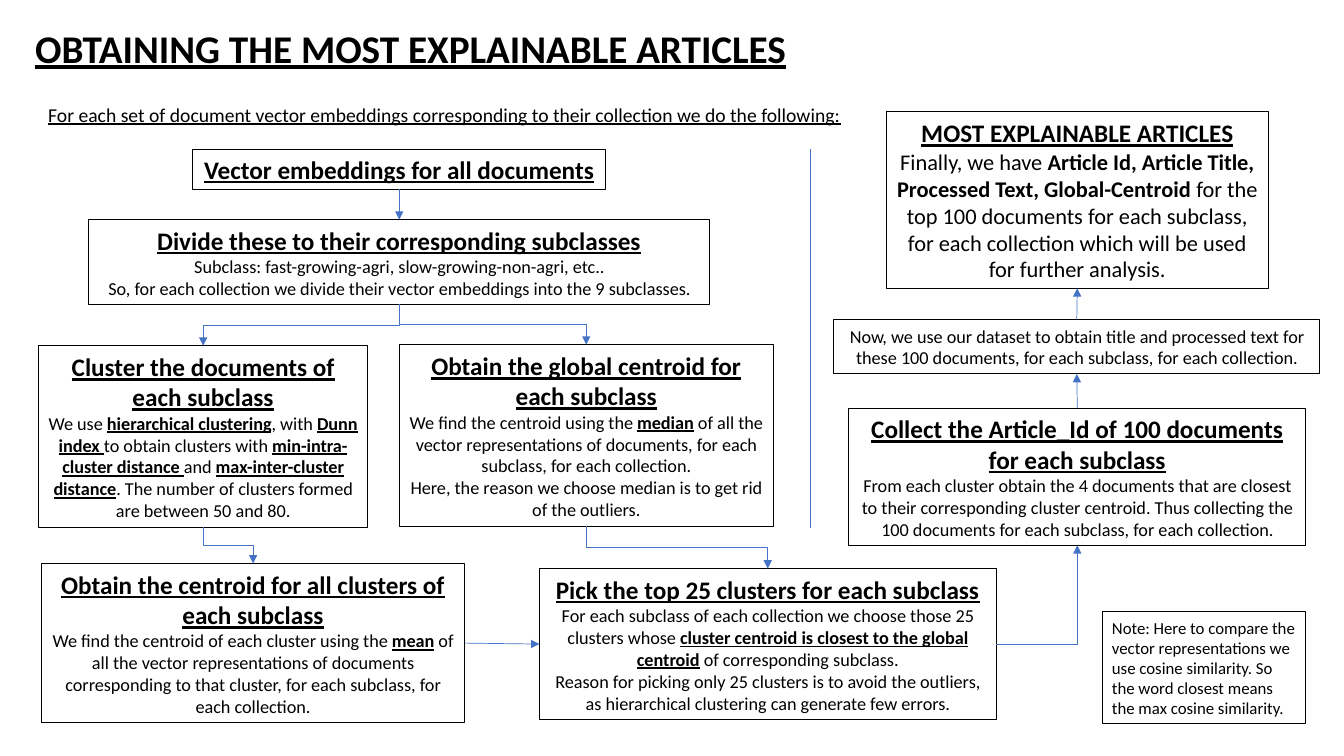
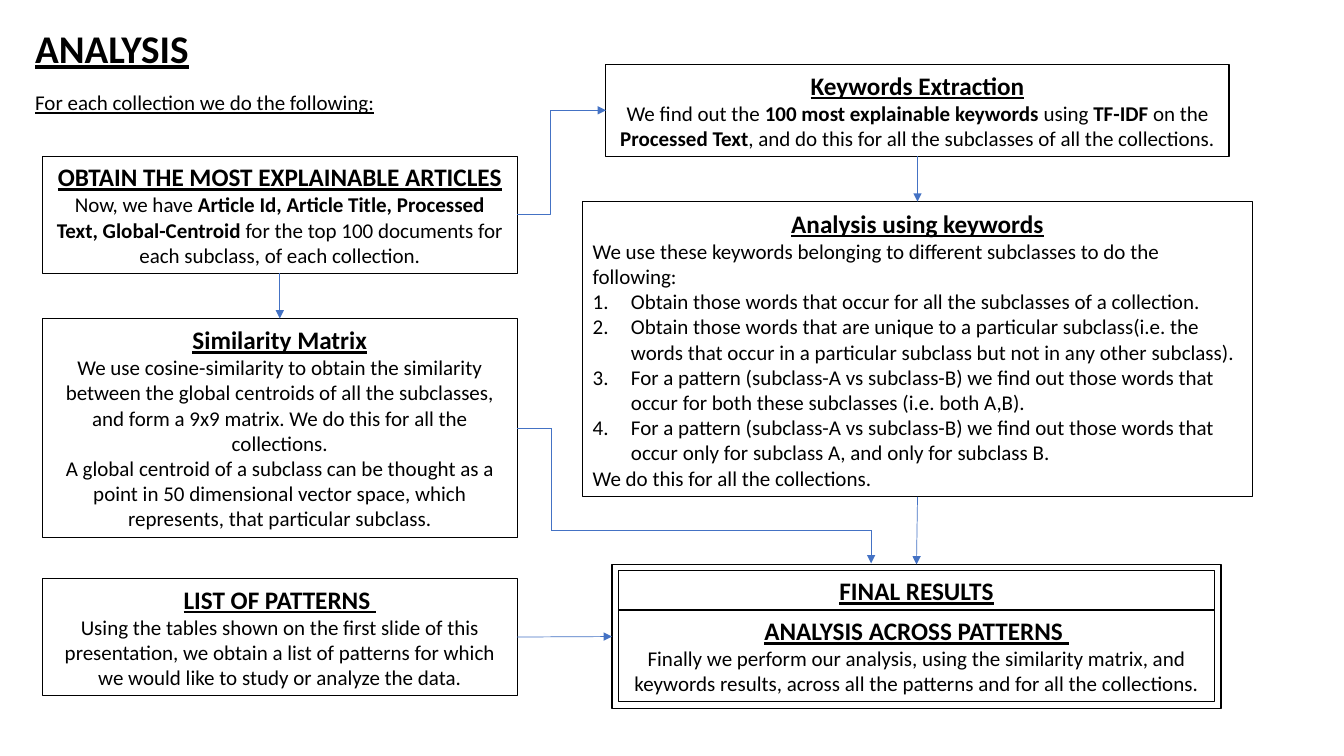
from itertools import pairwise
from lxml import etree
from pptx import Presentation, util as u
from pptx.dml.color import RGBColor
from pptx.enum import shapes, text
from pptx.oxml.ns import qn

PX = 9144
FONT, BLACK, BLUE = "Calibri", "000000", "4472C4"
LEFT, CENTER = text.PP_ALIGN.LEFT, text.PP_ALIGN.CENTER
HEADING = dict(bold=True, underline=True)
TOP, WEST, BOTTOM, EAST = range(4)
NUMBER = "# "

SLIDES = [
    dict(
        title=("OBTAINING THE MOST EXPLAINABLE ARTICLES", 774),
        lead=("For each set of document vector embeddings corresponding to their collection we do the following:",
              14, (38, 97, 812, 34)),
        emphasis=HEADING,
        boxes={
            "vectors": ((191, 148, 410, 40), "Vector embeddings for all documents", 13, []),
            "divide": ((88, 218, 616, 84), "Divide these to their corresponding subclasses", 13, [
                "Subclass: fast-growing-agri, slow-growing-non-agri, etc..",
                "So, for each collection we divide their vector embeddings into the 9 subclasses."]),
            "global": ((396, 342, 371, 180), "Obtain the global centroid for each subclass", 13, [
                "We find the centroid using the *median* of all the vector representations of documents, "
                "for each subclass, for each collection.",
                "Here, the reason we choose median is to get rid of the outliers."]),
            "cluster": ((38, 343, 327, 180), "Cluster the documents of each subclass", 13, [
                "We use *hierarchical clustering*, with *Dunn index *to obtain clusters with "
                "*min-intra-cluster distance *and *max-inter-cluster distance*. "
                "The number of clusters formed are between 50 and 80."]),
            "centroids": ((41, 559, 420, 158), "Obtain the centroid for all clusters of each subclass", 13, [
                "We find the centroid of each cluster using the *mean* of all the vector representations "
                "of documents corresponding to that cluster, for each subclass, for each collection."]),
            "pick": ((535, 564, 453, 150), "Pick the top 25 clusters for each subclass", 13, [
                "For each subclass of each collection we choose those 25 clusters whose "
                "*cluster centroid is closest to the global centroid* of corresponding subclass.",
                "Reason for picking only 25 clusters is to avoid the outliers, "
                "as hierarchical clustering can generate few errors."]),
            "collect": ((842, 405, 453, 136), "Collect the Article_Id of 100 documents for each subclass", 13, [
                "From each cluster obtain the 4 documents that are closest to their corresponding cluster "
                "centroid. Thus collecting the 100 documents for each subclass, for each collection."]),
            "dataset": ((827, 317, 482, 54), "", 13, [
                "Now, we use our dataset to obtain title and processed text for these 100 documents, "
                "for each subclass, for each collection."]),
            "articles": ((879, 111, 379, 175), "MOST EXPLAINABLE ARTICLES", 16, [
                "Finally, we have *Article Id, Article Title, Processed Text, Global-Centroid *for the "
                "top 100 documents for each subclass, for each collection which will be used "
                "for further analysis."]),
            "note": ((1093, 607, 202, 111), "", 12, [
                "Note: Here to compare the vector representations we use cosine similarity. "
                "So the word closest means the max cosine similarity."]),
        },
        plain_emphasis=["articles"],
        left_aligned=["note"],
        links=[
            ("vectors", BOTTOM, "divide", TOP, "straight"),
            ("divide", BOTTOM, "cluster", TOP, "fall"),
            ("divide", BOTTOM, "global", TOP, "fall"),
            ("cluster", BOTTOM, "centroids", TOP, "fall"),
            ("global", BOTTOM, "pick", TOP, "fall"),
            ("centroids", EAST, "pick", WEST, "straight"),
            ("pick", EAST, "collect", BOTTOM, "corner"),
            ("collect", TOP, "dataset", BOTTOM, "straight"),
            ("dataset", TOP, "articles", BOTTOM, "straight"),
        ],
        routes=[([(804, 148), (804, 524)], False)],
    ),
    dict(
        title=("ANALYSIS", 174),
        lead=("For each collection we do the following:", 15, (25, 84, 372, 35)),
        emphasis=dict(bold=True),
        boxes={
            "articles": ((42, 155, 471, 116), "OBTAIN THE MOST EXPLAINABLE ARTICLES", 15, [
                "Now, we have *Article Id, Article Title, Processed Text, Global-Centroid *for the "
                "top 100 documents for each subclass, of each collection."]),
            "keywords": ((601, 64, 618, 91), "Keywords Extraction", 15, [
                "We find out the *100 most explainable keywords *using *TF-IDF* on the *Processed Text*, "
                "and do this for all the subclasses of all the collections."]),
            "analysis": ((578, 200, 664, 293), "Analysis using keywords", 15, [
                "We use these keywords belonging to different subclasses to do the following:",
                "# Obtain those words that occur for all the subclasses of a collection.",
                "# Obtain those words that are unique to a particular subclass(i.e. the words that occur "
                "in a particular subclass but not in any other subclass).",
                "# For a pattern (subclass-A vs subclass-B) we find out those words that occur for both "
                "these subclasses (i.e. both A,B).",
                "# For a pattern (subclass-A vs subclass-B) we find out those words that occur only for "
                "subclass A, and only for subclass B.",
                "We do this for all the collections."]),
            "similarity": ((42, 316, 471, 217), "Similarity Matrix", 15, [
                "We use cosine-similarity to obtain the similarity between the global centroids of all "
                "the subclasses, and form a 9x9 matrix. We do this for all the collections.",
                "A global centroid of a subclass can be thought as a point in 50 dimensional vector space, "
                "which represents, that particular subclass."]),
            "patterns": ((42, 574, 471, 116), "LIST OF PATTERNS ", 15, [
                "Using the tables shown on the first slide of this presentation, we obtain a list of "
                "patterns for which we would like to study or analyze the data."]),
            "across": ((613, 605, 592, 91), "ANALYSIS ACROSS PATTERNS ", 15, [
                "Finally we perform our analysis, using the similarity matrix, and keywords results, "
                "across all the patterns and for all the collections."]),
            "results": ((613, 566, 592, 40), "FINAL RESULTS", 15, []),
            "frame": ((607, 560, 604, 143), "", 15, []),
        },
        plain_emphasis=[],
        left_aligned=["analysis"],
        links=[
            ("articles", BOTTOM, "similarity", TOP, "straight"),
            ("keywords", BOTTOM, "analysis", TOP, "straight"),
            ("articles", EAST, "keywords", WEST, "elbow"),
            ("analysis", BOTTOM, "frame", TOP, "straight"),
            ("patterns", EAST, "frame", WEST, "straight"),
        ],
        routes=[([(513, 425), (547, 425), (547, 526), (864, 526), (864, 559)], True)],
    ),
]


def rgb(value):
    return RGBColor.from_string(value)


def emu(values):
    return [v * PX for v in values]


def apply(target, values):
    for name, value in values.items():
        setattr(target, name, value)


def add_runs(p, content, size, emphasis):
    for i, part in enumerate(content.split("*")):
        if part:
            r = p.add_run()
            r.text = part
            apply(r.font, dict(name=FONT, size=u.Pt(size), **(emphasis if i % 2 else {})))
            r.font.color.rgb = rgb(BLACK)


def number(p):
    pPr = p._p.get_or_add_pPr()
    apply_xml = {"marL": str(38 * PX), "indent": str(-38 * PX)}
    for name, value in apply_xml.items():
        pPr.set(name, value)
    etree.SubElement(pPr, qn("a:buFont"), typeface="+mj-lt")
    etree.SubElement(pPr, qn("a:buAutoNum"), type="arabicPeriod")


def add_label(slide, content, size, at, wrap, bold=False):
    tf = slide.shapes.add_textbox(*emu(at)).text_frame
    apply(tf, dict(word_wrap=wrap, auto_size=text.MSO_AUTO_SIZE.SHAPE_TO_FIT_TEXT))
    add_runs(tf.paragraphs[0], f"*{content}*", size, dict(bold=bold, underline=True))


def add_box(slide, at, heading, size, body, align, emphasis):
    sp = slide.shapes.add_shape(shapes.MSO_SHAPE.RECTANGLE, *emu(at))
    sp.shadow.inherit = False
    sp.fill.background()
    sp.line.color.rgb = rgb(BLACK)
    sp.line.width = u.Pt(0.75 if heading or body else 1)
    tf = sp.text_frame
    paragraphs = [(f"*{heading}*", 18, CENTER, HEADING)] if heading else []
    paragraphs += [(line, size, align, emphasis) for line in body]
    if paragraphs:
        apply(tf, dict(word_wrap=True, auto_size=text.MSO_AUTO_SIZE.SHAPE_TO_FIT_TEXT))
    for i, (line, pt, alignment, style) in enumerate(paragraphs):
        p = tf.add_paragraph() if i else tf.paragraphs[0]
        p.alignment = alignment
        if line.startswith(NUMBER):
            number(p)
        add_runs(p, line.removeprefix(NUMBER), pt, style)
    return sp


def add_line(slide, start, end, kind=shapes.MSO_CONNECTOR.STRAIGHT, arrow=True):
    c = slide.shapes.add_connector(kind, *emu(start + end))
    c.line.color.rgb = rgb(BLUE)
    c.line.width = u.Pt(0.5)
    spPr = c._element.spPr
    if arrow:
        etree.SubElement(spPr.find(qn("a:ln")), qn("a:tailEnd"), type="triangle")
    etree.SubElement(spPr, qn("a:effectLst"))
    return c


def turn_downward(c):
    dx, dy = c.end_x - c.begin_x, c.end_y - c.begin_y
    mid_x, mid_y = (c.begin_x + c.end_x) // 2, (c.begin_y + c.end_y) // 2
    width, height = dy, abs(dx)
    apply(c, dict(left=mid_x - width // 2, top=mid_y - height // 2, width=width, height=height))
    xfrm = c._element.spPr.find(qn("a:xfrm"))
    xfrm.attrib.pop("flipH", None)
    xfrm.set("rot", str((270 if dx > 0 else 90) * 60000))
    if dx > 0:
        xfrm.set("flipH", "1")


def add_link(slide, source, start, target, end, kind):
    mso = shapes.MSO_CONNECTOR
    c = add_line(slide, (0, 0), (0, 0), mso.STRAIGHT if kind == "straight" else mso.ELBOW)
    c.begin_connect(source, start)
    c.end_connect(target, end)
    geom = c._element.spPr.find(qn("a:prstGeom"))
    if kind == "fall":
        turn_downward(c)
    elif kind == "corner":
        geom.set("prst", "bentConnector2")
    elif kind == "elbow":
        etree.SubElement(geom.find(qn("a:avLst")), qn("a:gd"), name="adj1", fmla="val 36800")


def add_slide(prs, data):
    slide = prs.slides.add_slide(prs.slide_layouts[6])
    title, width = data["title"]
    add_label(slide, title, 28, (25, 19, width, 57), False, True)
    add_label(slide, *data["lead"], True)
    boxes = {}
    for name, spec in data["boxes"].items():
        align = LEFT if name in data["left_aligned"] else CENTER
        emphasis = dict(bold=True) if name in data["plain_emphasis"] else data["emphasis"]
        boxes[name] = add_box(slide, *spec, align, emphasis)
    for source, start, target, end, kind in data["links"]:
        add_link(slide, boxes[source], start, boxes[target], end, kind)
    for points, arrow in data["routes"]:
        for start, end in pairwise(points):
            add_line(slide, start, end, arrow=arrow and end == points[-1])


def main():
    prs = Presentation()
    apply(prs, dict(slide_width=u.Inches(13.33), slide_height=u.Inches(7.5)))
    for data in SLIDES:
        add_slide(prs, data)
    prs.save("out.pptx")


if __name__ == "__main__":
    main()
